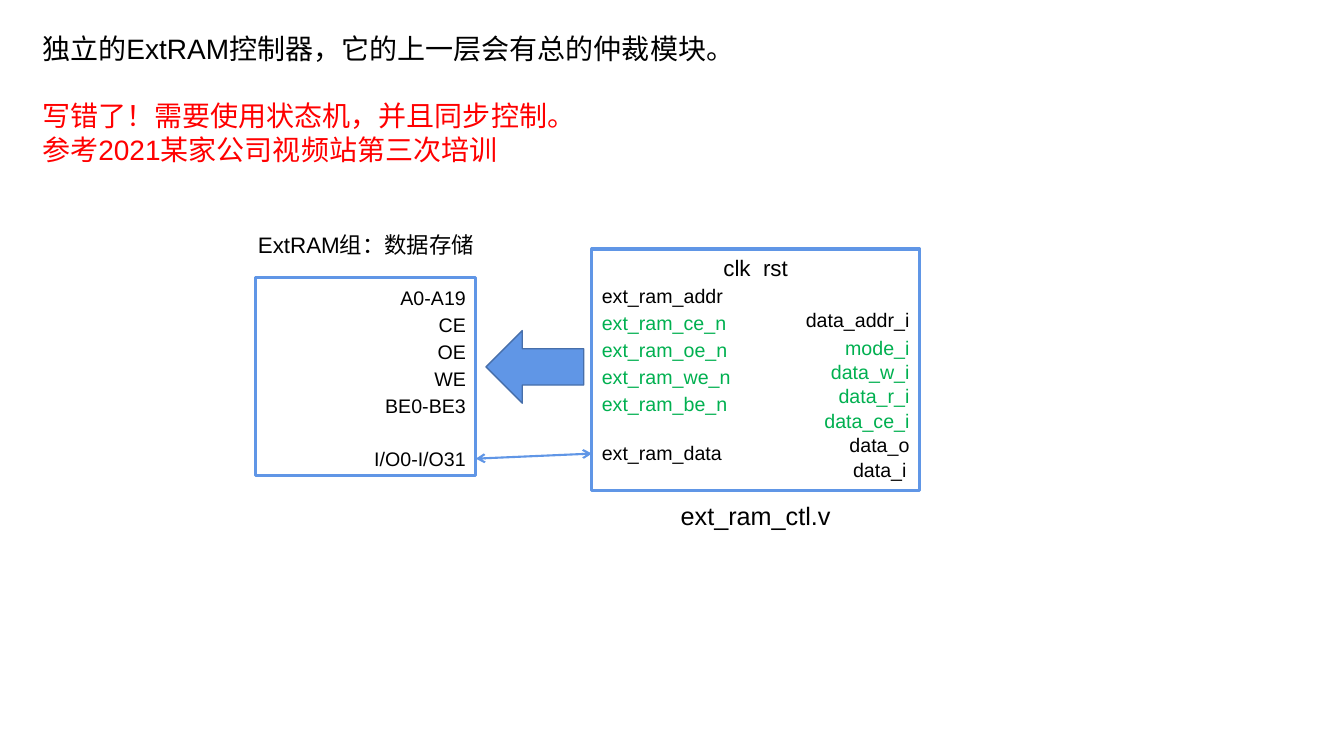
from pptx import Presentation
from pptx.dml.color import RGBColor
from pptx.enum.shapes import MSO_CONNECTOR as Conn, MSO_SHAPE as Shape
from pptx.enum.text import MSO_AUTO_SIZE as Fit, PP_ALIGN as Align
from pptx.oxml.ns import qn
from pptx.util import Pt
from lxml.etree import SubElement

BLACK = RGBColor(0, 0, 0)
WHITE = RGBColor(255, 255, 255)
RED = RGBColor(255, 0, 0)
GREEN = RGBColor(0, 176, 80)
BLUE = RGBColor(96, 150, 230)
NAVY = RGBColor(71, 111, 170)

# Content
NOTES = [
    ("独立的ExtRAM控制器，它的上一层会有总的仲裁模块。", BLACK),
    ("写错了！需要使用状态机，并且同步控制。", RED),
    ("参考2021某家公司视频站第三次培训", RED),
]
LABELS = [  # text, box, size
    ("ExtRAM组：数据存储", (230, 224, 266, 37), 16),
    ("clk  rst", (686, 247, 127, 37), 16),
    ("ext_ram_ctl.v", (651, 491, 197, 40), 18),
]
PINS = ["A0-A19", "CE", "OE", "WE", "BE0-BE3"]
NETS = [("ext_ram_addr", BLACK), ("ext_ram_ce_n", GREEN),
        ("ext_ram_oe_n", GREEN), ("ext_ram_we_n", GREEN),
        ("ext_ram_be_n", GREEN)]
PORTS = [("mode_i", GREEN), ("data_w_i", GREEN), ("data_r_i", GREEN),
         ("data_ce_i", GREEN), ("data_o", BLACK)]

# Layout: 100 px to the inch
PX = 9144
RAM = (253, 275, 219, 197)
CTL = (587, 247, 325, 240)
ARROW = (482, 328, 97, 72)
ROW, GAP, PORT_GAP = 34, 26.75, 24.2
RAM_END = RAM[0] + RAM[2]
CTL_END = CTL[0] + CTL[2]


def emu(box):
    return [round(v * PX) for v in box]


def write(box, lines, size, align=Align.LEFT):
    item = slide.shapes.add_textbox(*emu(box))
    frame = item.text_frame
    frame.word_wrap = True
    frame.auto_size = Fit.SHAPE_TO_FIT_TEXT
    for i, (text, color) in enumerate(lines):
        para = frame.add_paragraph() if i else frame.paragraphs[0]
        para.text = text
        para.alignment = align
        para.font.name = "Arial"
        para.font.size = Pt(size)
        para.font.color.rgb = color
    return item


def draw(kind, box, fill, edge, width):
    item = slide.shapes.add_shape(kind, *emu(box))
    item.shadow.inherit = False
    item.fill.solid()
    item.fill.fore_color.rgb = fill
    item.line.color.rgb = edge
    item.line.width = Pt(width)


def pin(text, top):
    box = (RAM_END - 134, top, 134, ROW)
    return write(box, [(text, BLACK)], 14, Align.RIGHT)


def net(text, color, top):
    return write((CTL[0], top, 212, ROW), [(text, color)], 14)


def port(text, color, top, end=CTL_END):
    write((end - 143, top, 143, ROW), [(text, color)], 14, Align.RIGHT)


deck = Presentation()
deck.slide_width, deck.slide_height = emu((1333, 750))
slide = deck.slides.add_slide(deck.slide_layouts[6])

# Blocks and bus arrow
for box in (CTL, RAM):
    draw(Shape.RECTANGLE, box, WHITE, BLUE, 2.25)
draw(Shape.LEFT_ARROW, ARROW, BLUE, NAVY, 1)

# Notes and labels
notes = write((32, 26, 755, 145), NOTES, 20)
notes.text_frame.paragraphs[1].space_before = Pt(24)
for text, box, size in LABELS:
    write(box, [(text, BLACK)], size, Align.CENTER)

# Signal rows
for i, text in enumerate(PINS):
    pin(text, 279 + i * GAP)
for i, (text, color) in enumerate(NETS):
    net(text, color, 277 + i * GAP)
port("data_addr_i", BLACK, 301)
for i, (text, color) in enumerate(PORTS):
    port(text, color, 328 + i * PORT_GAP)
port("data_i", BLACK, 449, CTL_END - 3)

# Two-way data line
start = pin("I/O0-I/O31", 438)
stop = net("ext_ram_data", BLACK, 433)
link = slide.shapes.add_connector(
    Conn.STRAIGHT, *emu((RAM_END, 455, CTL[0], 450)))
link.begin_connect(start, 3)
link.end_connect(stop, 1)
link.line.color.rgb = BLUE
link.line.width = Pt(1.5)
for end in ("a:headEnd", "a:tailEnd"):
    SubElement(link.line._get_or_add_ln(), qn(end), type="arrow")
SubElement(link._element.spPr, qn("a:effectLst"))

deck.save("out.pptx")
